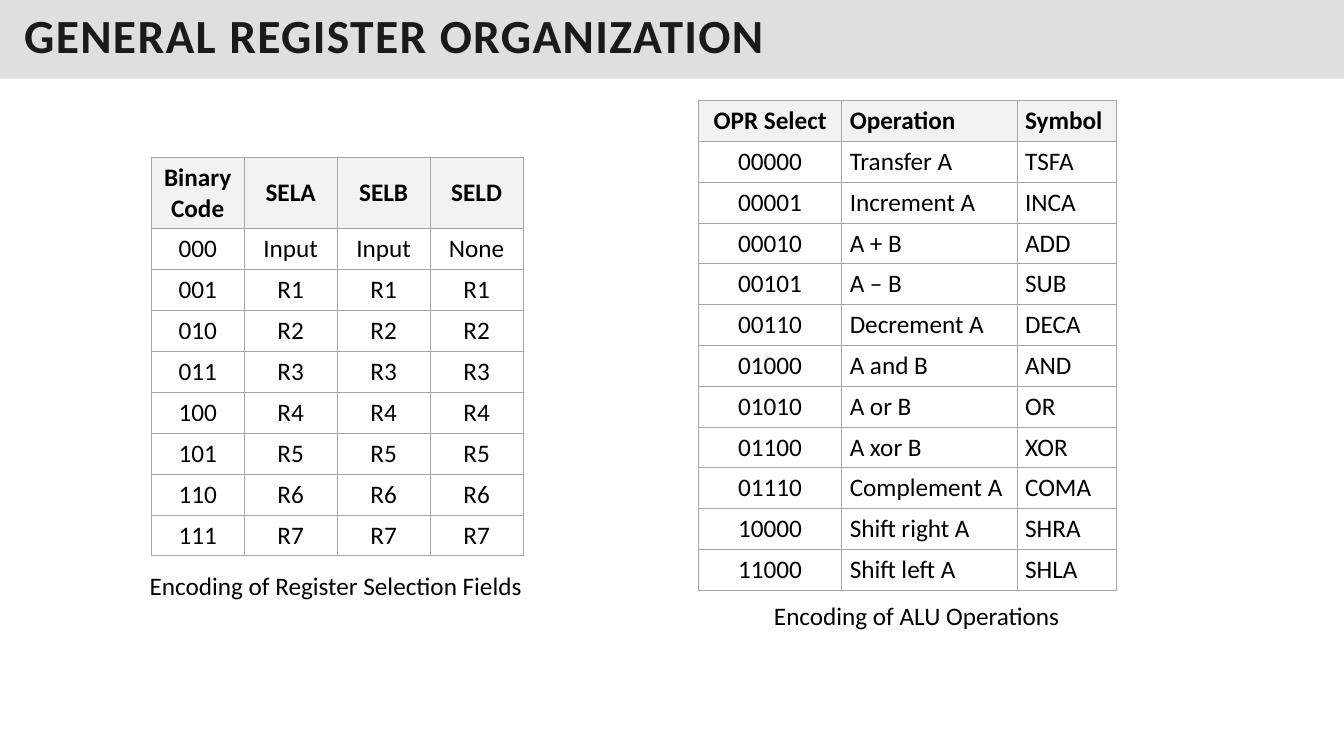
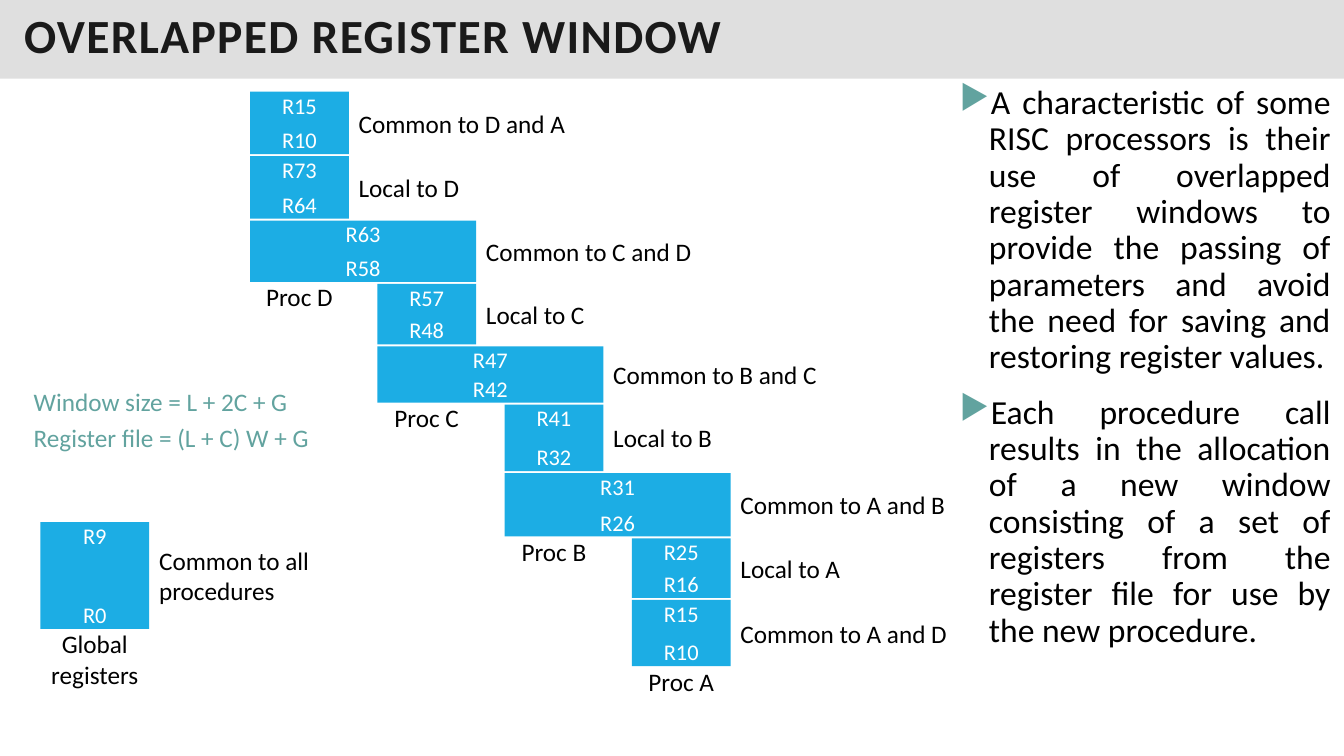
"""Build two slides on CPU register organization and overlapped register windows."""
from lxml.etree import SubElement
from pptx import Presentation
from pptx.dml.color import RGBColor
from pptx.enum.shapes import MSO_SHAPE
from pptx.enum.text import MSO_ANCHOR, MSO_AUTO_SIZE, PP_ALIGN
from pptx.oxml.ns import qn
from pptx.util import Emu, Inches, Pt

COLORS = {"band": "C0C0C0", "title": "1A1A1A", "text": "000000", "header": "F2F2F2",
          "border": "A6A6A6", "block": "1CADE4", "on_block": "FFFFFF", "accent": "62A39F"}
FONT = "Calibri"

deck = Presentation()
deck.slide_width, deck.slide_height = Inches(13.33), Inches(7.5)
COLUMN, ROW = deck.slide_width / 100, deck.slide_height / 100


def area(left, top, width, height):
    """Turn percentages of the slide into a position and size."""
    return (Emu(round(left * COLUMN)), Emu(round(top * ROW)),
            Emu(round(width * COLUMN)), Emu(round(height * ROW)))


def write(frame, lines, size=18, color="text", bold=False, align=PP_ALIGN.LEFT,
          anchor=MSO_ANCHOR.TOP, gap=0):
    """Fill a text frame with one run per paragraph and return the paragraphs."""
    frame.word_wrap = True
    frame.vertical_anchor = anchor
    for index, line in enumerate(lines):
        paragraph = frame.add_paragraph() if index else frame.paragraphs[0]
        paragraph.alignment = align
        if index:
            paragraph.space_before = Pt(gap)
        run = paragraph.add_run()
        run.text = line
        run.font.name, run.font.size, run.font.bold = FONT, Pt(size), bold
        run.font.color.rgb = RGBColor.from_string(COLORS[color])
    return frame.paragraphs


slides = []
for heading in ("GENERAL REGISTER ORGANIZATION", "OVERLAPPED REGISTER WINDOW"):
    slide = deck.slides.add_slide(deck.slide_layouts[5])
    slides.append(slide)
    title = slide.shapes.title
    title.left, title.top, title.width, title.height = area(0, 0, 100, 10.4)
    title.fill.solid()
    title.fill.fore_color.rgb = RGBColor.from_string(COLORS["band"])
    band_color = title.fill._xPr.find(qn("a:solidFill"))[0]
    SubElement(band_color, qn("a:alpha"), val="50000")
    frame = title.text_frame
    frame.auto_size = MSO_AUTO_SIZE.NONE
    frame.margin_left = frame.margin_right = Inches(0.24)
    frame.margin_top = frame.margin_bottom = Inches(0.12)
    heading_line = write(frame, [heading], 34, "title", True, anchor=MSO_ANCHOR.MIDDLE)[0]
    heading_line.line_spacing = 0.8
    heading_line.runs[0].font._element.set("spc", "100")
encoding_slide, window_slide = slides

registers = [("Binary Code", "SELA", "SELB", "SELD"), ("000", "Input", "Input", "None")]
registers += [(f"{number:03b}",) + (f"R{number}",) * 3 for number in range(1, 8)]
operations = [
    ("OPR Select", "Operation", "Symbol"),
    ("00000", "Transfer A", "TSFA"),
    ("00001", "Increment A", "INCA"),
    ("00010", "A + B", "ADD"),
    ("00101", "A – B", "SUB"),
    ("00110", "Decrement A", "DECA"),
    ("01000", "A and B", "AND"),
    ("01010", "A or B", "OR"),
    ("01100", "A xor B", "XOR"),
    ("01110", "Complement A", "COMA"),
    ("10000", "Shift right A", "SHRA"),
    ("11000", "Shift left A", "SHLA"),
]
LINE_HEIGHT = 5.4
encodings = [
    (registers, 11.25, 20.8, [6.92] * 4, 9.4, 0.04, 4,
     "Encoding of Register Selection Fields", (10.4, 74.8, 31, 5.4)),
    (operations, 51.98, 13.33, [10.65, 13.05, 7.43], LINE_HEIGHT, 0.08, 1,
     "Encoding of ALU Operations", (56.85, 78.8, 25, 5.4)),
]
for rows, left, top, widths, header_height, margin, centered, caption, caption_area in encodings:
    heights = [header_height] + [LINE_HEIGHT] * (len(rows) - 1)
    table = encoding_slide.shapes.add_table(
        len(rows), len(widths), *area(left, top, sum(widths), sum(heights))).table
    table.first_row = table.horz_banding = False
    for column, width in zip(table.columns, widths):
        column.width = Emu(round(width * COLUMN))
    for row_index, (values, height) in enumerate(zip(rows, heights)):
        table.rows[row_index].height = Emu(round(height * ROW))
        for column_index, value in enumerate(values):
            cell = table.cell(row_index, column_index)
            cell.margin_left = cell.margin_right = Inches(margin)
            cell.margin_top = cell.margin_bottom = Inches(0.05)
            cell.vertical_anchor = MSO_ANCHOR.MIDDLE
            align = PP_ALIGN.CENTER if column_index < centered else PP_ALIGN.LEFT
            write(cell.text_frame, [value], bold=row_index == 0, align=align,
                  anchor=MSO_ANCHOR.MIDDLE)
            for side in ("a:lnL", "a:lnR", "a:lnT", "a:lnB"):
                border = SubElement(cell._tc.get_or_add_tcPr(), qn(side), w=str(Pt(0.75)))
                border_fill = SubElement(border, qn("a:solidFill"))
                SubElement(border_fill, qn("a:srgbClr"), val=COLORS["border"])
            if row_index:
                cell.fill.background()
            else:
                cell.fill.solid()
                cell.fill.fore_color.rgb = RGBColor.from_string(COLORS["header"])
    caption_box = encoding_slide.shapes.add_textbox(*area(*caption_area))
    write(caption_box.text_frame, [caption])

explanation = window_slide.shapes.add_textbox(*area(71.03, 10.67, 28.35, 81.47)).text_frame
explanation.margin_left = explanation.margin_right = Inches(0.05)
points = write(explanation, [
    "A characteristic of some RISC processors is their use of overlapped register windows "
    "to provide the passing of parameters and avoid the need for saving and restoring "
    "register values.",
    "Each procedure call results in the allocation of a new window consisting of a set of "
    "registers from the register file for use by the new procedure.",
], 24, align=PP_ALIGN.JUSTIFY, gap=12)
for point in points:
    properties = point._p.get_or_add_pPr()
    properties.set("marL", str(Inches(0.29)))
    properties.set("indent", str(-Inches(0.29)))
    bullet_color = SubElement(properties, qn("a:buClr"))
    SubElement(bullet_color, qn("a:srgbClr"), val=COLORS["accent"])
    SubElement(properties, qn("a:buChar"), char="▶")
    point.line_spacing = 0.9
    point.space_after = Pt(2)

STAIR_LEFT, STAIR_STEP, NARROW, STAIR_GAP = 18.6, 9.47, 7.35, 0.25
stairs = [
    (0, 1, 8.27, "R15", "R10", "Common to D and A", ""),
    (0, 1, 8.27, "R73", "R64", "Local to D", ""),
    (0, 2, 8.13, "R63", "R58", "Common to C and D", "Proc D"),
    (1, 1, 8, "R57", "R48", "Local to C", ""),
    (1, 2, 7.47, "R47", "R42", "Common to B and C", "Proc C"),
    (2, 1, 8.8, "R41", "R32", "Local to B", ""),
    (2, 2, 8.4, "R31", "R26", "Common to A and B", "Proc B"),
    (3, 1, 7.87, "R25", "R16", "Local to A", ""),
    (3, 1, 8.8, "R15", "R10", "Common to A and D", "Proc A"),
]
windows = [(3, 69.07, 8.1, 14.13, ("R9", "R0"), "Common to all procedures", 13.4,
            "Global registers", 8.1)]
stair_top = 12.13
for step, span, height, first, last, scope, procedure in stairs:
    windows.append((STAIR_LEFT + step * STAIR_STEP, stair_top,
                    NARROW + (span - 1) * STAIR_STEP, height, (first, last),
                    scope, 18.3, procedure, NARROW))
    stair_top += height + STAIR_GAP

for left, top, width, height, ends, scope, scope_width, owner, owner_width in windows:
    block = window_slide.shapes.add_shape(MSO_SHAPE.RECTANGLE, *area(left, top, width, height))
    block.shadow.inherit = False
    block.fill.solid()
    block.fill.fore_color.rgb = RGBColor.from_string(COLORS["block"])
    block.line.fill.background()
    block.text_frame.margin_top = block.text_frame.margin_bottom = 0
    write(block.text_frame, ends, 16, "on_block", align=PP_ALIGN.CENTER,
          gap=round(block.height.pt - 2 * 19.5, 1))
    scope_box = window_slide.shapes.add_textbox(*area(left + width, top, scope_width, height))
    write(scope_box.text_frame, [scope], anchor=MSO_ANCHOR.MIDDLE)
    if owner:
        owner_box = window_slide.shapes.add_textbox(
            *area(left, top + height - 0.7, owner_width, LINE_HEIGHT))
        write(owner_box.text_frame, [owner], align=PP_ALIGN.CENTER)

formulas = window_slide.shapes.add_textbox(*area(1.77, 50.4, 23.2, 10.2))
write(formulas.text_frame, ["Window size = L + 2C + G", "Register file = (L + C) W + G"],
      color="accent", gap=4)

deck.save("out.pptx")
